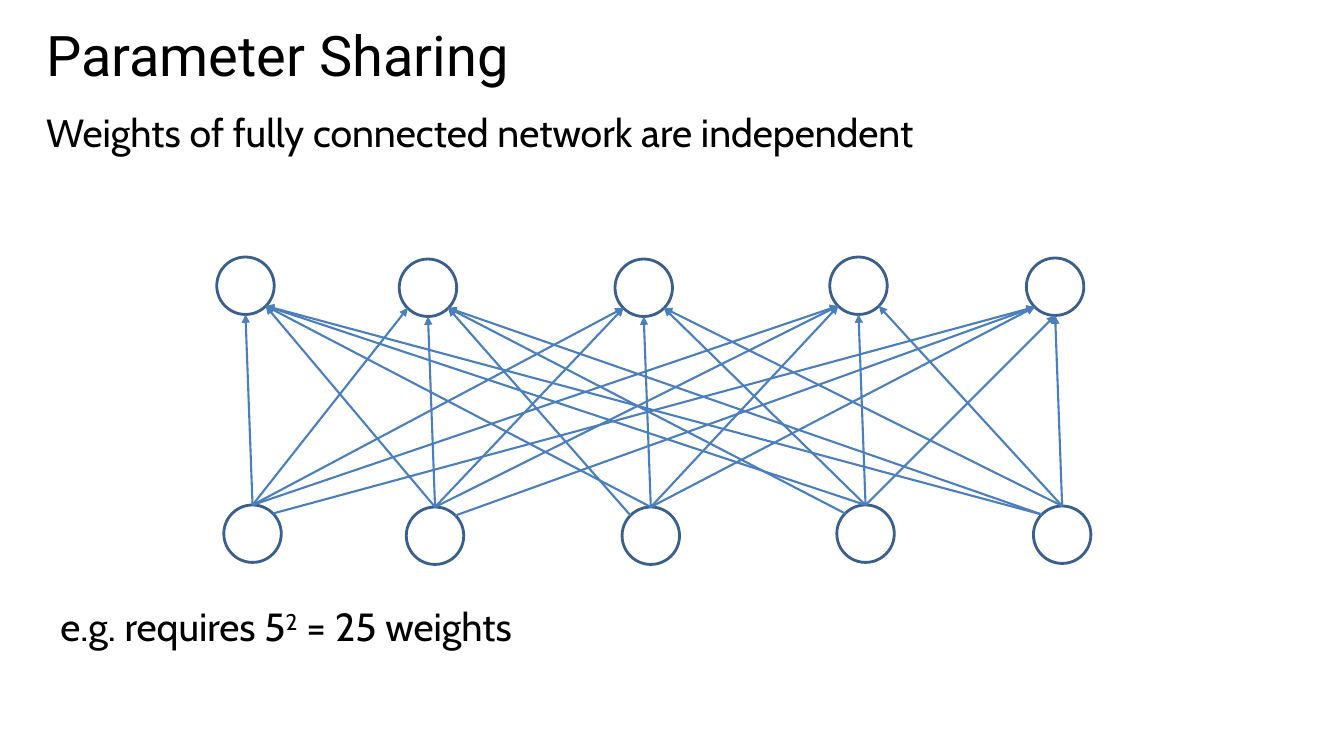
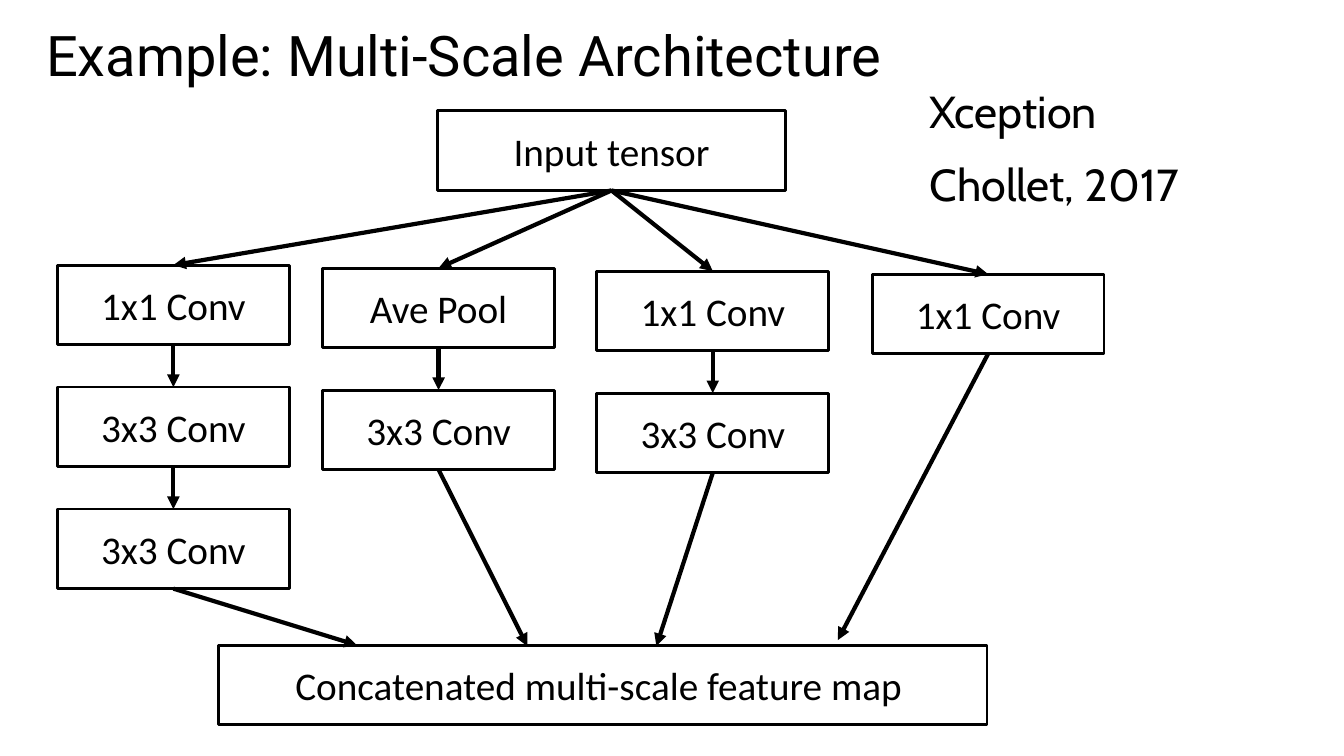
"""Build two slides on parameter sharing and multi-scale networks."""
from pptx import Presentation, util as u
from pptx.dml.color import RGBColor
from pptx.enum import shapes, text
from pptx.oxml.ns import qn
from lxml import etree

INK = RGBColor(0, 0, 0)
THEME = {
    "ring": (RGBColor(0x3A, 0x5F, 0x8C), 2),
    "edge": (RGBColor(0x4B, 0x7E, 0xBC), 1.5),
    "frame": (INK, 2),
    "flow": (INK, 3),
    "title": {
        "font": {"name": "Roboto", "size": u.Pt(40)},
        "para": {"line_spacing": 0.8},
        "body": {"vertical_anchor": text.MSO_ANCHOR.MIDDLE},
    },
    "lead": {
        "font": {"name": "Cabin", "size": u.Pt(28)},
        "para": {"space_before": u.Pt(14)},
        "body": {"vertical_anchor": text.MSO_ANCHOR.TOP},
    },
    "cite": {
        "font": {"name": "Cabin", "size": u.Pt(32)},
        "para": {"space_before": u.Pt(14)},
        "body": {"vertical_anchor": text.MSO_ANCHOR.TOP},
    },
    "box": {
        "font": {"name": "Calibri", "size": u.Pt(28)},
        "para": {"alignment": text.PP_ALIGN.CENTER},
        "body": {"vertical_anchor": text.MSO_ANCHOR.MIDDLE},
    },
}


def add(slide, kind, place, style, *lines):
    """Add a text box, or an outlined shape if kind is given; every second run is raised."""
    place = [u.Inches(n) for n in place]
    if kind is None:
        item = slide.shapes.add_textbox(*place)
    else:
        item = slide.shapes.add_shape(kind, *place)
        item.shadow.inherit = False
        item.fill.background()
        tint, width = THEME["frame" if lines else "ring"]
        item.line.color.rgb = tint
        item.line.width = u.Pt(width)
    frame = item.text_frame
    frame.word_wrap = True
    for i, line in enumerate(lines):
        para = frame.paragraphs[0] if i == 0 else frame.add_paragraph()
        for j, words in enumerate(line):
            run = para.add_run()
            run.text = words
            run.font.color.rgb = INK
            if j % 2:
                run.font._element.set("baseline", "30000")
            for key, value in THEME[style]["font"].items():
                setattr(run.font, key, value)
        for key, value in THEME[style]["para"].items():
            setattr(para, key, value)
    if lines:
        for key, value in THEME[style]["body"].items():
            setattr(frame, key, value)
    return item


def link(slide, style, start, end):
    """Draw an arrow between points, or from a box's bottom and to a box's top."""
    spots = [(0, 0) if hasattr(p, "shape_id") else p for p in (start, end)]
    line = slide.shapes.add_connector(
        shapes.MSO_CONNECTOR.STRAIGHT, *[u.Inches(n) for p in spots for n in p])
    if hasattr(start, "shape_id"):
        line.begin_connect(start, 2)
    if hasattr(end, "shape_id"):
        line.end_connect(end, 0)
    tint, width = THEME[style]
    line.line.color.rgb = tint
    line.line.width = u.Pt(width)
    etree.SubElement(line.line._get_or_add_ln(), qn("a:tailEnd"), type="triangle")
    etree.SubElement(line._element.spPr, qn("a:effectLst"))


deck = Presentation()
deck.slide_width, deck.slide_height = u.Inches(13.33), u.Inches(7.5)
pages = []
for name in ("Parameter Sharing", "Example: Multi-Scale Architecture"):
    page = deck.slides.add_slide(deck.slide_layouts[6])
    add(page, None, (0.36, 0.23, 12.74, 0.74), "title", [name])
    pages.append(page)
net, tree = pages

add(net, None, (0.36, 1.03, 12.6, 0.74), "lead",
    ["Weights of fully connected network are independent"])
SIZE, RISE, SHIFT = 0.57, 2.46, 0.07
DIAG = 0.2
tops = [(2.15, 2.55), (3.96, 2.57), (6.1, 2.57), (8.23, 2.55), (10.18, 2.56)]
lows = [(x + SHIFT, y + RISE) for x, y in tops]
for x, y in tops + lows:
    add(net, shapes.MSO_SHAPE.OVAL, (x, y, SIZE, SIZE), "box")

HALF = SIZE / 2
corner = {(0, 4), (1, 4), (2, 1), (3, 1), (4, 1), (4, 0)}
under = {(3, 4)}
for i, (x, y) in enumerate(lows):
    for j, (left, top) in enumerate(tops):
        side = (j > i) - (j < i)
        start = (x + HALF, y)
        if (i, j) in corner:
            start = (x + HALF + side * DIAG, y + HALF - DIAG)
        end = (left + HALF - side * DIAG, top + HALF + DIAG)
        if i == j or (i, j) in under:
            end = (left + HALF, top + SIZE)
        link(net, "edge", start, end)
add(net, None, (0.5, 5.93, 12.6, 0.74), "lead",
    ["e.g. requires 5", "2", " = 25 weights"])

RECT = shapes.MSO_SHAPE.RECTANGLE
WIDE, HIGH, STEP = 2.3, 0.79, 1.21
root = add(tree, RECT, (4.34, 1.1, 3.45, HIGH), "box", ["Input tensor"])
add(tree, RECT, (2.17, 6.4, 7.62, HIGH), "box",
    ["Concatenated multi-scale feature map "])
paths = [
    (0.57, 2.63, ["1x1 Conv", "3x3 Conv", "3x3 Conv"], (3.54, 6.4)),
    (3.2, 2.66, ["Ave Pool", "3x3 Conv"], (5.23, 6.41)),
    (5.92, 2.69, ["1x1 Conv", "3x3 Conv"], (6.51, 6.41)),
    (8.65, 2.72, ["1x1 Conv"], (8.31, 6.35)),
]
for x, y, names, goal in paths:
    last = root
    for i, name in enumerate(names):
        box = add(tree, RECT, (x, y + i * STEP, WIDE, HIGH), "box", [name])
        link(tree, "flow", last, box)
        last = box
    link(tree, "flow", last, goal)
add(tree, None, (9.12, 0.78, 3.15, 1.31), "cite", ["Xception"], ["Chollet, 2017"])

deck.save("out.pptx")
